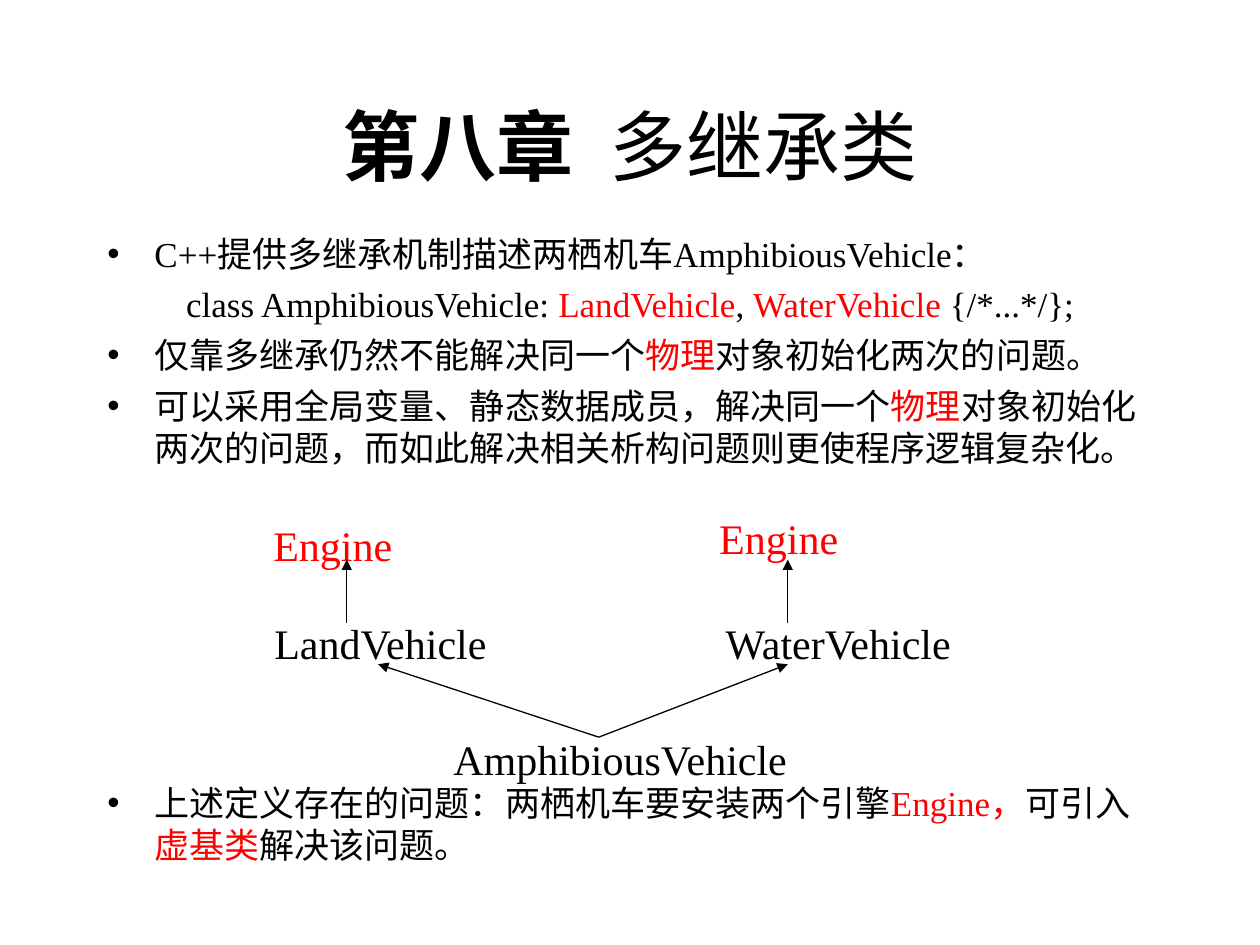
from dataclasses import dataclass

from lxml.etree import SubElement
from pptx import Presentation
from pptx.dml.color import RGBColor
from pptx.enum.shapes import MSO_CONNECTOR
from pptx.enum.text import MSO_ANCHOR, MSO_AUTO_SIZE, PP_ALIGN
from pptx.oxml.ns import qn
from pptx.util import Cm, Pt

BLACK = RGBColor(0x00, 0x00, 0x00)
RED = RGBColor(0xFF, 0x00, 0x00)
LATIN_FONT = "Times New Roman"
CHINESE_FONT = "Noto Sans CJK SC"


@dataclass
class Span:
    text: str
    color: RGBColor = BLACK


@dataclass
class Item:
    spans: list[Span]
    bullet: bool = True
    left: float = 0.95
    space_before: float = 5


@dataclass
class ClassLabel:
    name: str
    left: float
    top: float
    width: float
    color: RGBColor = BLACK


@dataclass
class Arrow:
    start: tuple[float, float]
    end: tuple[float, float]


ITEMS = [
    Item([Span("C++提供多继承机制描述两栖机车AmphibiousVehicle：")]),
    Item([Span("class AmphibiousVehicle: "), Span("LandVehicle", RED), Span(", "),
          Span("WaterVehicle", RED), Span(" {/*...*/};")], bullet=False, left=1.59),
    Item([Span("仅靠多继承仍然不能解决同一个"), Span("物理", RED),
          Span("对象初始化两次的问题。")]),
    Item([Span("可以采用全局变量、静态数据成员，解决同一个"), Span("物理", RED),
          Span("对象初始化两次的问题，而如此解决相关析构问题则更使程序逻辑复杂化。")]),
    # The wide gap leaves room for the class diagram
    Item([Span("上述定义存在的问题：两栖机车要安装两个引擎"), Span("Engine，", RED),
          Span("可引入"), Span("虚基类", RED), Span("解决该问题。")], space_before=179),
]

LABELS = [
    ClassLabel("Engine", 5.26, 10.34, 2.9, RED),
    ClassLabel("Engine", 14.25, 10.21, 2.9, RED),
    ClassLabel("LandVehicle", 5.28, 12.32, 4.88),
    ClassLabel("WaterVehicle", 14.38, 12.32, 5.21),
    ClassLabel("AmphibiousVehicle", 8.89, 14.66, 7.32),
]

ARROWS = [
    Arrow((12.07, 14.86), (7.62, 13.39)),
    Arrow((12.07, 14.86), (15.88, 13.39)),
    Arrow((6.99, 12.55), (6.99, 11.28)),
    Arrow((15.88, 12.55), (15.88, 11.28)),
]


def add_run(paragraph, span: Span, size: float, bold: bool = False,
            latin: str = LATIN_FONT) -> None:
    run = paragraph.add_run()
    run.text = span.text
    run.font.size = Pt(size)
    run.font.bold = bold
    run.font.name = latin
    run.font.color.rgb = span.color
    east_asian = SubElement(run.font._element, qn("a:ea"))
    east_asian.set("typeface", CHINESE_FONT)


def place(shape, left: float, top: float, width: float, height: float) -> None:
    shape.left, shape.top = Cm(left), Cm(top)
    shape.width, shape.height = Cm(width), Cm(height)


def fill_title(title) -> None:
    place(title, 1.91, 1.32, 21.59, 3.18)
    title.text_frame.auto_size = MSO_AUTO_SIZE.NONE
    title.text_frame.vertical_anchor = MSO_ANCHOR.MIDDLE
    paragraph = title.text_frame.paragraphs[0]
    paragraph.alignment = PP_ALIGN.CENTER
    add_run(paragraph, Span("第八章  "), 44, bold=True, latin=CHINESE_FONT)
    add_run(paragraph, Span("多继承类"), 44)


def fill_body(body, items: list[Item]) -> None:
    place(body, 1.91, 4.55, 21.59, 13.21)
    frame = body.text_frame
    frame.auto_size = MSO_AUTO_SIZE.NONE
    for index, item in enumerate(items):
        paragraph = frame.add_paragraph() if index else frame.paragraphs[0]
        paragraph.space_before = Pt(item.space_before)
        paragraph.line_spacing = Pt(24)
        properties = paragraph._p.get_or_add_pPr()
        properties.set("marL", str(Cm(item.left)))
        properties.set("indent", str(-Cm(item.left) if item.bullet else 0))
        if item.bullet:
            SubElement(properties, qn("a:buChar")).set("char", "•")
        else:
            SubElement(properties, qn("a:buNone"))
        for span in item.spans:
            add_run(paragraph, span, 20)


def add_label(slide, label: ClassLabel) -> None:
    box = slide.shapes.add_textbox(Cm(label.left), Cm(label.top), Cm(label.width), Cm(1.27))
    box.text_frame.word_wrap = False
    add_run(box.text_frame.paragraphs[0], Span(label.name, label.color), 24)


def add_arrow(slide, arrow: Arrow) -> None:
    points = [Cm(value) for value in (*arrow.start, *arrow.end)]
    connector = slide.shapes.add_connector(MSO_CONNECTOR.STRAIGHT, *points)
    connector.line.color.rgb = BLACK
    connector.line.width = Pt(0.75)
    SubElement(connector.line._get_or_add_ln(), qn("a:tailEnd")).set("type", "triangle")
    SubElement(connector._element.spPr, qn("a:effectLst"))


def main() -> None:
    presentation = Presentation()
    presentation.slide_width, presentation.slide_height = Cm(25.4), Cm(19.05)
    slide = presentation.slides.add_slide(presentation.slide_layouts[1])

    # Title and bullet list
    fill_title(slide.shapes.title)
    fill_body(slide.placeholders[1], ITEMS)

    # Inheritance diagram
    for label in LABELS:
        add_label(slide, label)
    for arrow in ARROWS:
        add_arrow(slide, arrow)

    presentation.save("out.pptx")


if __name__ == "__main__":
    main()
